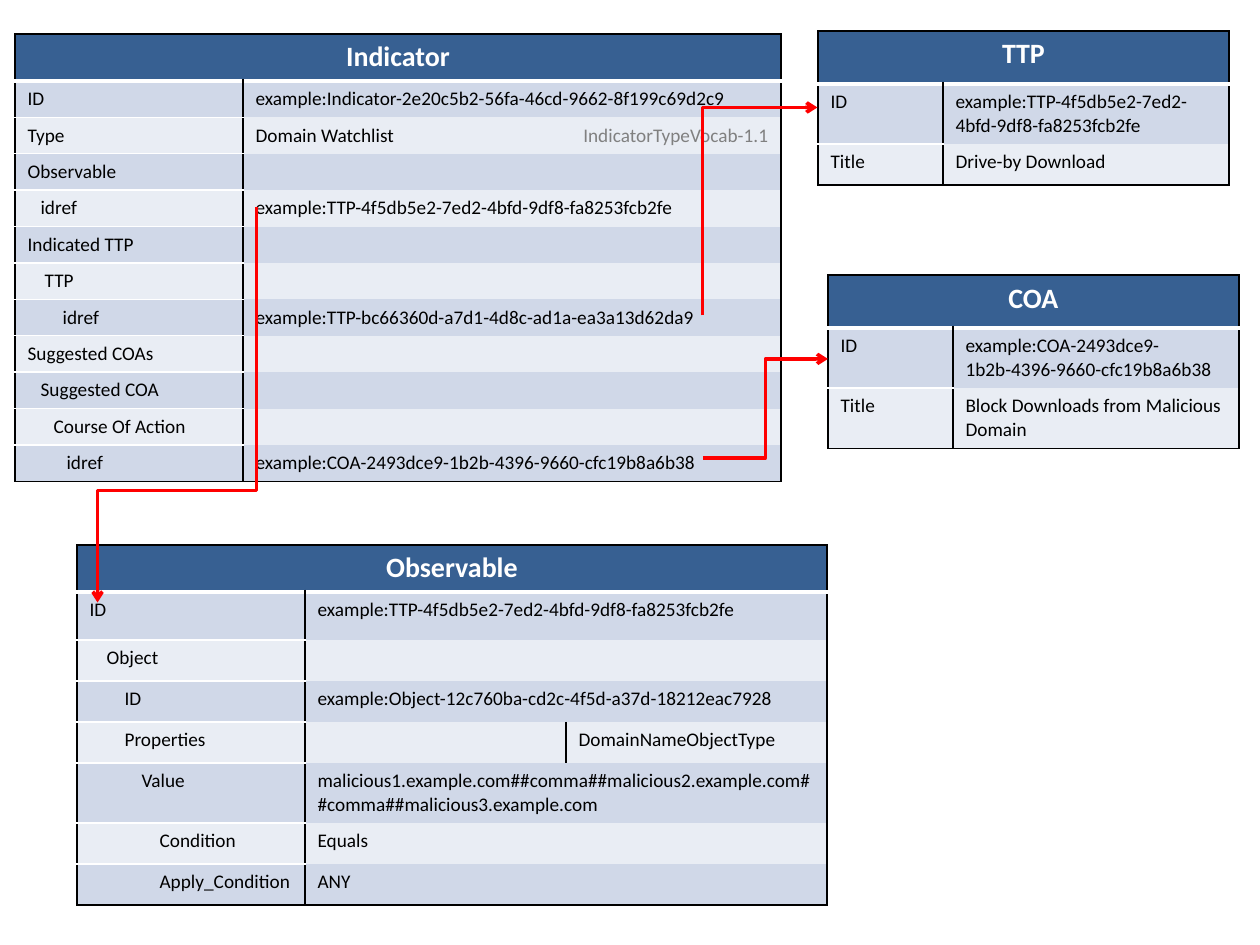
from lxml import etree
from pptx import Presentation
from pptx import util as u
from pptx.dml import color
from pptx.enum import shapes, text
from pptx.oxml import ns

SCALE = 914400 // 126
HUES = {"head": "376092", "odd": "D0D8E8", "even": "E9EDF4", "black": "000000",
        "white": "FFFFFF", "gray": "808080", "red": "FF0000"}
PLAIN = "{2D5ABB26-0587-4C30-8999-92F81FD0307C}"
LEFT, MID, RIGHT = text.PP_ALIGN.LEFT, text.PP_ALIGN.CENTER, text.PP_ALIGN.RIGHT


def px(n):
    return u.Emu(round(n * SCALE))


def rgb(name):
    return color.RGBColor.from_string(HUES[name])


def sub(node, tag, **attrs):
    return etree.SubElement(node, ns.qn(tag), attrs)


def write(cell, words, size=11, hue="black", bold=False, align=LEFT, indent=0):
    para = cell.text_frame.paragraphs[0]
    para.alignment = align
    if indent:
        para._p.get_or_add_pPr().set("marL", str(px(indent)))
    if not words:
        sub(para._p, "a:endParaRPr", sz=str(size * 100))
        return
    run = para.add_run()
    run.text = words
    run.font.name = "Calibri"
    run.font.size = u.Pt(size)
    run.font.bold = bold
    run.font.color.rgb = rgb(hue)


def paint(cell, fill, **edges):
    cell.fill.solid()
    cell.fill.fore_color.rgb = rgb(fill)
    props = cell._tc.get_or_add_tcPr()
    for spot, side in enumerate("LRTB"):
        hue, width = edges.get(side, (None, 0))
        line = etree.Element(ns.qn("a:ln" + side), w=str(u.Pt(width)))
        if hue:
            sub(sub(line, "a:solidFill"), "a:srgbClr", val=HUES[hue])
        else:
            sub(line, "a:noFill")
        props.insert(spot, line)


def draw_table(slide, box, title, cols, highs, rows, split=None):
    left, top = box
    frame = slide.shapes.add_table(len(highs), len(cols), px(left), px(top),
                                   px(sum(cols)), px(sum(highs)))
    table = frame.table
    table.horz_banding = table.first_row = False
    frame._element.find(".//" + ns.qn("a:tableStyleId")).text = PLAIN
    for col, wide in zip(table.columns, cols):
        col.width = px(wide)
    for row, high in zip(table.rows, highs):
        row.height = px(high)

    black, white, last = ("black", 1), ("white", 1), len(cols) - 1
    for c in range(len(cols)):
        paint(table.cell(0, c), "head", L=black, R=black, T=black, B=("white", 3))
        if c:
            write(table.cell(0, c), "")
    table.cell(0, 0).merge(table.cell(0, last))
    write(table.cell(0, 0), title, size=16, hue="white", bold=True, align=MID)

    for r, (label, indent, *vals) in enumerate(rows, 1):
        end = r == len(rows)
        fill = "odd" if r % 2 else "even"
        paint(table.cell(r, 0), fill, L=black, R=black, T=white,
              B=black if end else white)
        write(table.cell(r, 0), label, indent=indent)
        parts = len(vals) > 1
        for c in range(1, last + 1):
            edges = {}
            if c == 1 or split or not parts:
                edges["L"] = black
            if c == last or split or not parts:
                edges["R"] = black
            if r == 1:
                edges["T"] = white
            if end:
                edges["B"] = black
            paint(table.cell(r, c), fill, **edges)
            words = vals[c - 1] if c <= len(vals) else ""
            note = words == "IndicatorTypeVocab-1.1"
            write(table.cell(r, c), words, hue="gray" if note else "black",
                  align=RIGHT if note else LEFT)
        if last > 1 and not parts:
            table.cell(r, 1).merge(table.cell(r, last))


def draw_link(slide, box, kind, turn=0, flips="", bend=None):
    x, y, w, h = box
    link = slide.shapes.add_connector(shapes.MSO_CONNECTOR.ELBOW, px(x), px(y),
                                      px(x + w), px(y + h))
    link.line.color.rgb = rgb("red")
    link.line.width = u.Pt(2)
    sub(link.line._get_or_add_ln(), "a:tailEnd", type="arrow")
    props = link._element.spPr
    sub(props, "a:effectLst")
    form = props.find(ns.qn("a:xfrm"))
    if turn:
        form.set("rot", str(turn * 60000))
    for flip in flips:
        form.set("flip" + flip, "1")
    shape = props.find(ns.qn("a:prstGeom"))
    shape.set("prst", kind)
    if bend:
        sub(shape.find(ns.qn("a:avLst")), "a:gd", name="adj1", fmla=f"val {bend}")


TTP = "example:TTP-4f5db5e2-7ed2-4bfd-9df8-fa8253fcb2fe"
COA = "example:COA-2493dce9-1b2b-4396-9660-cfc19b8a6b38"
SIGNS = [
    ("ID", 0, "example:Indicator-2e20c5b2-56fa-46cd-9662-8f199c69d2c9"),
    ("Type", 0, "Domain Watchlist", "IndicatorTypeVocab-1.1"),
    ("Observable", 0, ""),
    ("idref", 13, TTP),
    ("Indicated TTP", 0, "", ""),
    ("TTP", 17, "", ""),
    ("idref", 35, "example:TTP-bc66360d-a7d1-4d8c-ad1a-ea3a13d62da9"),
    ("Suggested COAs", 0, ""),
    ("Suggested COA", 13, ""),
    ("Course Of Action", 26, ""),
    ("idref", 39, COA),
]
FACTS = [
    ("ID", 0, TTP),
    ("Object", 17, ""),
    ("ID", 35, "example:Object-12c760ba-cd2c-4f5d-a37d-18212eac7928"),
    ("Properties", 35, "", "DomainNameObjectType"),
    ("Value", 52, "malicious1.example.com##comma##malicious2.example.com"
                  "##comma##malicious3.example.com"),
    ("Condition", 70, "Equals"),
    ("Apply_Condition", 70, "ANY"),
]

deck = Presentation()
deck.slide_width, deck.slide_height = px(1260), px(945)
slide = deck.slides.add_slide(deck.slide_layouts[6])
draw_table(slide, (15, 34), "Indicator", (228, 246, 292), [46] + [36] * 11, SIGNS)
draw_table(slide, (818, 31), "TTP", (125, 286), (53, 60, 41),
           [("ID", 0, TTP), ("Title", 0, "Drive-by Download")])
draw_table(slide, (77, 545), "Observable", (228, 261, 261),
           (47, 48, 41, 41, 41, 60, 41, 41), FACTS, split=True)
draw_table(slide, (828, 275), "COA", (125, 286), (53, 60, 60),
           [("ID", 0, COA), ("Title", 0, "Block Downloads from Malicious Domain")])
draw_link(slide, (656, 154, 208, 115), "bentConnector2", turn=90, flips="HV")
draw_link(slide, (703, 359, 125, 99), "bentConnector3", flips="V")
draw_link(slide, (-21, 325, 396, 159), "bentConnector3", turn=90, bend=71700)
deck.save("out.pptx")
